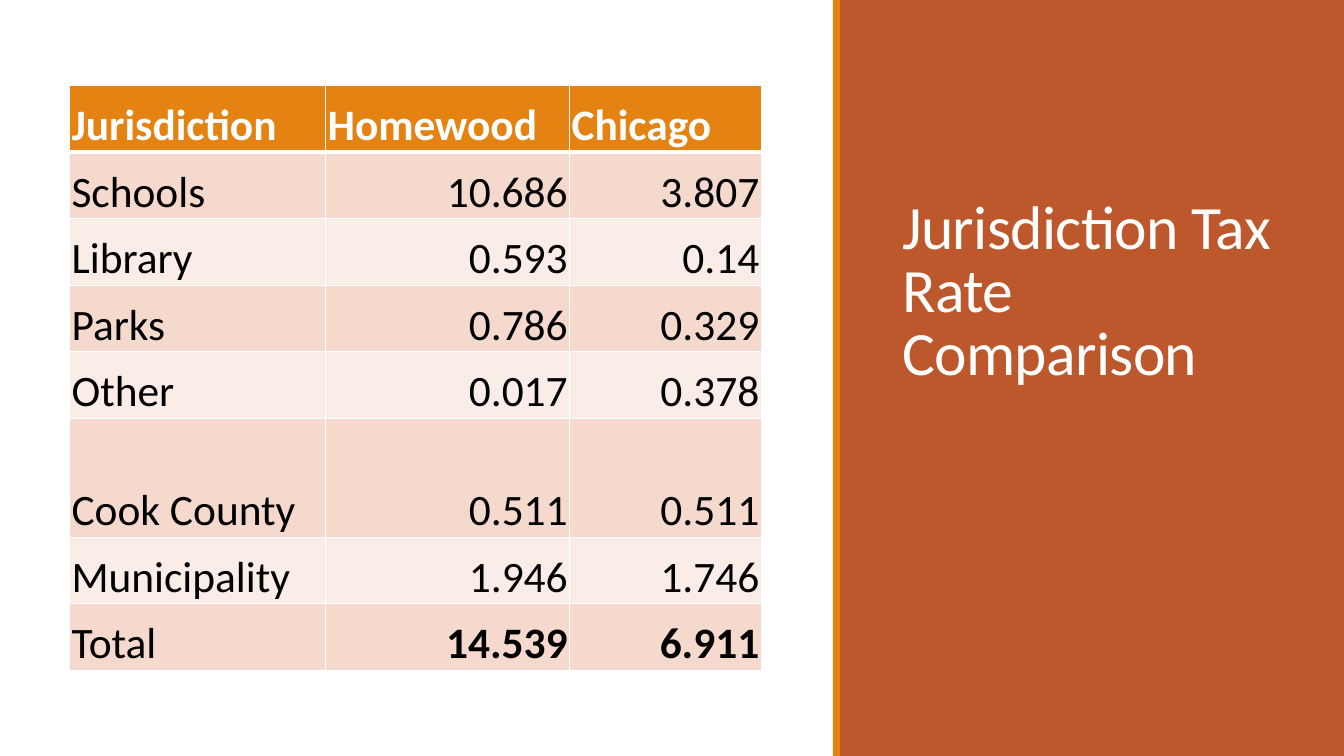
from pptx import Presentation
from pptx.dml.color import RGBColor as RGB
from pptx.enum.shapes import MSO_SHAPE as SHAPE
from pptx.enum.text import MSO_ANCHOR as ANCHOR, MSO_AUTO_SIZE as AUTO, PP_ALIGN as ALIGN
from pptx.oxml import parse_xml
from pptx.oxml.ns import nsdecls
from pptx.util import Inches, Pt

COLORS = {
    "white": "FFFFFF",
    "black": "000000",
    "rust": "BD582C",
    "orange": "E48312",
    "band_dark": "F5D9CC",
    "band_light": "FAEDE7",
}
RATES = [
    ("Jurisdiction", "Homewood", "Chicago"),
    ("Schools", "10.686", "3.807"),
    ("Library", "0.593", "0.14"),
    ("Parks", "0.786", "0.329"),
    ("Other", "0.017", "0.378"),
    ("Cook County", "0.511", "0.511"),
    ("Municipality", "1.946", "1.746"),
    ("Total", "14.539", "6.911"),
]
COL_WIDTHS = [2.54, 2.42, 1.9]
ROW_HEIGHTS = [1.18 if row[0] == "Cook County" else 0.66 for row in RATES]


class SlideBuilder:
    font = "Calibri"

    def __init__(self, s):
        self.s = s

    def color(self, name):
        return RGB.from_string(COLORS[name])

    def run(self, p, text, size, color, bold=False):
        r = p.add_run()
        r.text = text
        r.font.name = self.font
        r.font.size = Pt(size)
        r.font.bold = bold
        r.font.color.rgb = self.color(color)
        return r

    def rect(self, x, y, w, h, color):
        sp = self.s.shapes.add_shape(SHAPE.RECTANGLE, Inches(x), Inches(y), Inches(w), Inches(h))
        sp.shadow.inherit = False
        sp.fill.solid()
        sp.fill.fore_color.rgb = self.color(color)
        sp.line.fill.background()

    def title(self, text, x, y, w, h):
        sp = self.s.shapes.title
        sp.left, sp.top, sp.width, sp.height = Inches(x), Inches(y), Inches(w), Inches(h)
        sp.element.getparent().append(sp.element)
        tf = sp.text_frame
        tf.word_wrap = True
        tf.auto_size = AUTO.NONE
        tf.vertical_anchor = ANCHOR.BOTTOM
        p = tf.paragraphs[0]
        p.alignment = ALIGN.LEFT
        p.line_spacing = 0.85
        r = self.run(p, text, 44, "white")
        r.font._element.set("spc", "-50")

    def borders(self, cell, top, bottom):
        tc_pr = cell._tc.get_or_add_tcPr()
        for side, width in (("L", 1), ("R", 1), ("T", top), ("B", bottom)):
            tc_pr.append(parse_xml(
                f'<a:ln{side} {nsdecls("a")} w="{Pt(width)}"><a:solidFill>'
                f'<a:srgbClr val="{COLORS["white"]}"/></a:solidFill></a:ln{side}>'))

    def cell(self, cell, text, row, col):
        header = row == 0
        total = row == len(RATES) - 1 and col > 0
        self.borders(cell, 3 if row == 1 else 1, 3 if header else 1)
        cell.fill.solid()
        band = "band_dark" if row % 2 else "band_light"
        cell.fill.fore_color.rgb = self.color("orange" if header else band)
        cell.margin_left = cell.margin_right = cell.margin_top = Inches(0.02)
        cell.margin_bottom = 0
        cell.vertical_anchor = ANCHOR.BOTTOM
        p = cell.text_frame.paragraphs[0]
        p.alignment = ALIGN.RIGHT if col and not header else ALIGN.LEFT
        self.run(p, text, 31, "white" if header else "black", header or total)

    def table(self, x, y, rows, widths, heights):
        table = self.s.shapes.add_table(
            len(rows), len(widths), Inches(x), Inches(y),
            Inches(sum(widths)), Inches(sum(heights))).table
        for column, width in zip(table.columns, widths):
            column.width = Inches(width)
        for row, height in zip(table.rows, heights):
            row.height = Inches(height)
        for i, row in enumerate(rows):
            for j, text in enumerate(row):
                self.cell(table.cell(i, j), text, i, j)


def main():
    prs = Presentation()
    prs.slide_width, prs.slide_height = Inches(13.33), Inches(7.5)
    builder = SlideBuilder(prs.slides.add_slide(prs.slide_layouts[5]))
    builder.rect(8.33, 0, 5, 7.5, "rust")
    builder.title("Jurisdiction Tax Rate Comparison", 8.85, 0.7, 4, 3.2)
    builder.rect(8.26, 0, 0.07, 7.5, "orange")
    builder.table(0.69, 0.85, RATES, COL_WIDTHS, ROW_HEIGHTS)
    prs.save("out.pptx")


if __name__ == "__main__":
    main()
